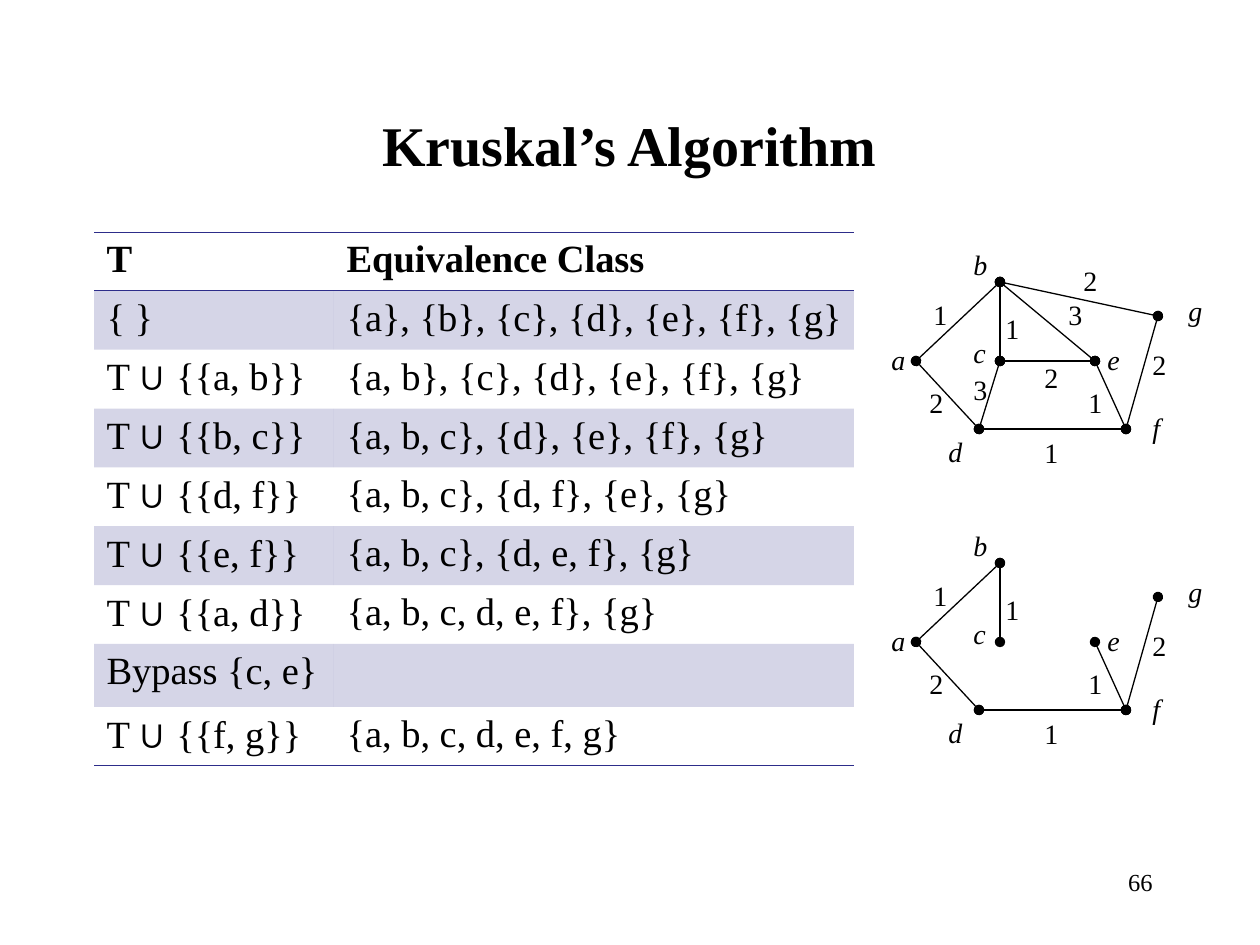
import dataclasses
import typing

import lxml.etree
import pptx
import pptx.dml.color
import pptx.enum.shapes
import pptx.enum.text
import pptx.oxml.ns
import pptx.util

EMU_PER_PX = 914400 / 126
NO_GRID_STYLE = "{2D5ABB26-0587-4C30-8999-92F81FD0307C}"


@dataclasses.dataclass(frozen=True)
class Theme:
    ink: str = "000000"
    accent: str = "2D2D8A"
    band_alpha: int = 20
    serif: str = "Times New Roman"
    symbol: str = "Arial"
    title_size: int = 32
    table_size: int = 22
    graph_size: int = 16
    number_size: int = 14
    edge_width: float = 0.75
    rule_width: float = 0.45


THEME = Theme()
ALIGN = pptx.enum.text.PP_ALIGN


class Vertex(typing.NamedTuple):
    x: int
    y: int
    label_x: int
    label_y: int
    label_width: int


class Edge(typing.NamedTuple):
    ends: str
    weight: int
    label_x: int
    label_y: int


VERTICES = {
    "a": Vertex(916, 361, 879, 336, 39),
    "b": Vertex(1000, 282, 961, 241, 39),
    "c": Vertex(1000, 361, 961, 329, 38),
    "d": Vertex(979, 429, 936, 428, 39),
    "e": Vertex(1095, 361, 1095, 336, 38),
    "f": Vertex(1126, 429, 1140, 404, 33),
    "g": Vertex(1158, 316, 1176, 287, 39),
}
EDGES = [
    Edge("ba", 1, 921, 291),
    Edge("ad", 2, 917, 379),
    Edge("cd", 3, 961, 366),
    Edge("bc", 1, 993, 305),
    Edge("ce", 2, 1032, 354),
    Edge("be", 3, 1056, 291),
    Edge("df", 1, 1032, 429),
    Edge("ef", 1, 1076, 379),
    Edge("bg", 2, 1071, 257),
    Edge("gf", 2, 1140, 341),
]
TREE = {"ba", "ad", "bc", "df", "ef", "gf"}
TREE_DROP = 281
LABEL_HEIGHT = 47

STEPS = [
    ("T", "Equivalence Class"),
    ("{ }", "{a}, {b}, {c}, {d}, {e}, {f}, {g}"),
    ("T ∪ {{a, b}}", "{a, b}, {c}, {d}, {e}, {f}, {g}"),
    ("T ∪ {{b, c}}", "{a, b, c}, {d}, {e}, {f}, {g}"),
    ("T ∪ {{d, f}}", "{a, b, c}, {d, f}, {e}, {g}"),
    ("T ∪ {{e, f}}", "{a, b, c}, {d, e, f}, {g}"),
    ("T ∪ {{a, d}}", "{a, b, c, d, e, f}, {g}"),
    ("Bypass {c, e}", ""),
    ("T ∪ {{f, g}}", "{a, b, c, d, e, f, g}"),
]
BYPASS_ROW = 7


def px(length: int) -> int:
    return round(length * EMU_PER_PX)


def rgb(color: str) -> pptx.dml.color.RGBColor:
    return pptx.dml.color.RGBColor.from_string(color)


def child(parent, tag: str, **attributes: str):
    return lxml.etree.SubElement(parent, pptx.oxml.ns.qn(tag), **attributes)


def set_font(font, size: int, name: str = THEME.serif, bold: bool = False, italic: bool = False) -> None:
    font.name = name
    font.size = pptx.util.Pt(size)
    font.bold = bold
    font.italic = italic
    font.color.rgb = rgb(THEME.ink)


def add_text(shapes, text: str, left: int, top: int, width: int, height: int, size: int,
             align=ALIGN.LEFT, wrap: bool = True, bold: bool = False, italic: bool = False):
    frame = shapes.add_textbox(px(left), px(top), px(width), px(height)).text_frame
    frame.word_wrap = wrap
    paragraph = frame.paragraphs[0]
    paragraph.text = text
    paragraph.alignment = align
    set_font(paragraph.font, size, bold=bold, italic=italic)
    return frame


def add_graph_label(shapes, text: str, left: int, top: int, width: int = 39, italic: bool = False) -> None:
    frame = add_text(shapes, text, left, top, width, LABEL_HEIGHT, THEME.graph_size,
                     wrap=False, italic=italic)
    frame.auto_size = pptx.enum.text.MSO_AUTO_SIZE.SHAPE_TO_FIT_TEXT


def add_edge(shapes, start: Vertex, end: Vertex, drop: int) -> None:
    edge = shapes.add_connector(pptx.enum.shapes.MSO_CONNECTOR.STRAIGHT,
                                px(start.x), px(start.y + drop), px(end.x), px(end.y + drop))
    edge.line.color.rgb = rgb(THEME.ink)
    edge.line.width = pptx.util.Pt(THEME.edge_width)
    line = edge.line._get_or_add_ln()
    child(line, "a:headEnd", type="oval")
    child(line, "a:tailEnd", type="oval")
    child(edge._element.spPr, "a:effectLst")


def add_graph(slide, edges: list[Edge], drop: int = 0) -> None:
    shapes = slide.shapes.add_group_shape().shapes
    for edge in edges:
        start, end = (VERTICES[name] for name in edge.ends)
        add_edge(shapes, start, end, drop)
    for name, vertex in VERTICES.items():
        add_graph_label(shapes, name, vertex.label_x, vertex.label_y + drop,
                        vertex.label_width, italic=True)
    for edge in edges:
        add_graph_label(shapes, str(edge.weight), edge.label_x, edge.label_y + drop)


def add_rule(cell, side: str) -> None:
    rule = child(cell._tc.get_or_add_tcPr(), side, w=str(pptx.util.Pt(THEME.rule_width)))
    child(child(rule, "a:solidFill"), "a:srgbClr", val=THEME.accent)


def fill_cell(cell, banded: bool) -> None:
    if not banded:
        cell.fill.background()
        return
    cell.fill.solid()
    cell.fill.fore_color.rgb = rgb(THEME.accent)
    color = cell._tc.tcPr.find(pptx.oxml.ns.qn("a:solidFill"))[0]
    child(color, "a:alpha", val=str(THEME.band_alpha * 1000))


def write_cell(cell, text: str, bold: bool) -> None:
    """Write the text, with the union sign in the symbol font."""
    paragraph = cell.text_frame.paragraphs[0]
    before, union, after = text.partition("∪")
    if not union:
        paragraph.text = text
        set_font(paragraph.font, THEME.table_size, bold=bold)
        return
    for part, name in ((before, THEME.serif), (union, THEME.symbol), (after, THEME.serif)):
        run = paragraph.add_run()
        run.text = part
        set_font(run.font, THEME.table_size, name, bold)


def add_steps_table(slide) -> None:
    table = slide.shapes.add_table(len(STEPS), 2, px(94), px(232), px(760), px(533)).table
    table.first_row = table.horz_banding = False
    table._tbl.tblPr.find(pptx.oxml.ns.qn("a:tableStyleId")).text = NO_GRID_STYLE
    for column, width in zip(table.columns, (240, 520)):
        column.width = px(width)
    for index, step in enumerate(STEPS):
        table.rows[index].height = px(63) if index == BYPASS_ROW else px(471) // 8
        for cell, text in zip(table.rows[index].cells, step):
            cell.margin_right = px(8)
            if index == 0:
                add_rule(cell, "a:lnT")
            if index in (0, len(STEPS) - 1):
                add_rule(cell, "a:lnB")
            fill_cell(cell, banded=index % 2 == 1)
            write_cell(cell, text, bold=index == 0)


def main() -> None:
    deck = pptx.Presentation()
    deck.slide_width, deck.slide_height = px(1260), px(945)
    slide = deck.slides.add_slide(deck.slide_layouts[6])

    title = add_text(slide.shapes, "Kruskal’s Algorithm", 94, 84, 1071, 126, THEME.title_size,
                     align=ALIGN.CENTER, bold=True)
    title.vertical_anchor = pptx.enum.text.MSO_ANCHOR.MIDDLE
    title.paragraphs[0].line_spacing = 0.95
    add_text(slide.shapes, "66", 903, 861, 262, 63, THEME.number_size, align=ALIGN.RIGHT)

    add_graph(slide, EDGES)
    add_steps_table(slide)
    add_graph(slide, [edge for edge in EDGES if edge.ends in TREE], TREE_DROP)
    deck.save("out.pptx")


if __name__ == "__main__":
    main()
